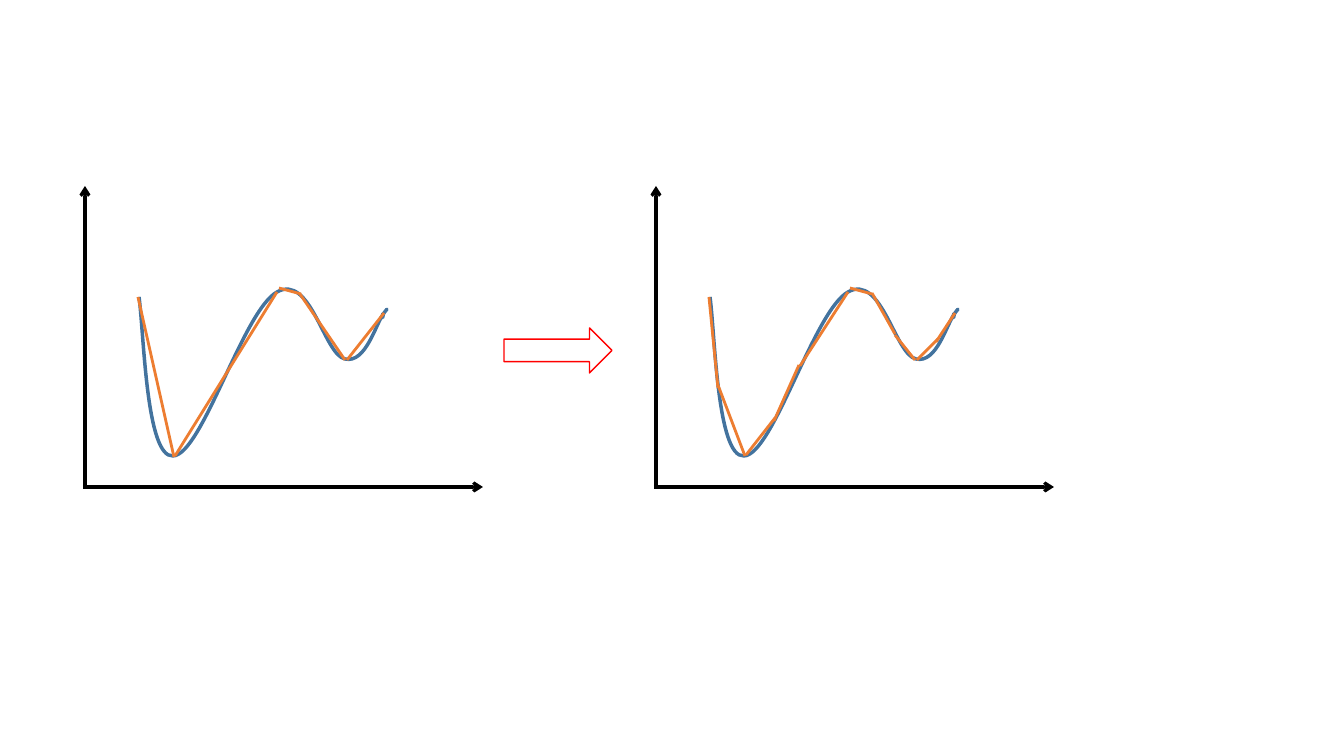
import pptx
import pptx.util
import pptx.dml.color
import pptx.enum.shapes
import pptx.oxml.ns
import lxml.etree

PIXEL = 914400 / 100.8
BLACK = pptx.dml.color.RGBColor(0x00, 0x00, 0x00)
BLUE = pptx.dml.color.RGBColor(0x43, 0x73, 0x9E)
ORANGE = pptx.dml.color.RGBColor(0xED, 0x7D, 0x31)
RED = pptx.dml.color.RGBColor(0xFF, 0x00, 0x00)
PANEL_SHIFT = 571

# Coordinates below are pixels within the left panel.
AXES = [((83, 487), (483, 487)), ((85, 488), (85, 186))]
CURVE_START = (139, 297)
CURVE_TOP_LEFT = (139, 289)
CURVE_BOTTOM_RIGHT = (387, 457)
CURVE_PIECES = [
    ((144, 333), (146, 458), (173, 456)),
    ((202, 455), (243, 311), (277, 292)),
    ((311, 273), (324, 355), (345, 359)),
    ((366, 364), (376, 323), (384, 313)),
    ((391, 304), (384, 313), (384, 313)),
    ((383, 313), (382, 324), (383, 313)),
]
COARSE_SEGMENTS = [
    ((138, 297), (174, 457)),
    ((175, 456), (277, 292)),
    ((279, 288), (301, 294)),
    ((300, 294), (345, 360)),
    ((347, 360), (384, 313)),
]
FINE_SEGMENTS = [
    ((138, 297), (147, 388)),
    ((175, 455), (204, 418)),
    ((279, 288), (301, 294)),
    ((301, 293), (324, 334)),
    ((346, 360), (367, 339)),
    ((147, 385), (174, 456)),
    ((203, 421), (228, 365)),
    ((229, 366), (277, 292)),
    ((324, 335), (344, 360)),
    ((365, 342), (384, 313)),
]


def to_emu(pixels):
    """Turn a length in pixels into EMU."""
    return pptx.util.Emu(round(pixels * PIXEL))


def add_line(shift, start, end, color, width, arrowhead=False):
    """Draw a straight line, moved right by shift pixels."""
    line = slide.shapes.add_connector(
        pptx.enum.shapes.MSO_CONNECTOR.STRAIGHT,
        to_emu(start[0] + shift), to_emu(start[1]),
        to_emu(end[0] + shift), to_emu(end[1]),
    )
    line.line.color.rgb = color
    line.line.width = pptx.util.Pt(width)
    properties = line._element.spPr
    if arrowhead:
        outline = properties.find(pptx.oxml.ns.qn("a:ln"))
        lxml.etree.SubElement(outline, pptx.oxml.ns.qn("a:tailEnd"), type="arrow")
    lxml.etree.SubElement(properties, pptx.oxml.ns.qn("a:effectLst"))


presentation = pptx.Presentation()
presentation.slide_width = to_emu(1344)
presentation.slide_height = to_emu(756)
slide = presentation.slides.add_slide(presentation.slide_layouts[6])

outlined_shapes = []
for shift, segments in [(0, COARSE_SEGMENTS), (PANEL_SHIFT, FINE_SEGMENTS)]:
    for start, end in AXES:
        add_line(shift, start, end, BLACK, 2.25, arrowhead=True)

    # The corners set the frame; cubic pieces then take the place of the lines.
    frame = [(x + shift, y) for x, y in (CURVE_START, CURVE_TOP_LEFT, CURVE_BOTTOM_RIGHT)]
    builder = slide.shapes.build_freeform(*frame[0], scale=PIXEL)
    builder.add_line_segments(frame[1:], close=False)
    curve = builder.convert_to_shape()
    outline_path = next(curve._element.iter(pptx.oxml.ns.qn("a:path")))
    for straight in outline_path.findall(pptx.oxml.ns.qn("a:lnTo")):
        outline_path.remove(straight)
    for piece in CURVE_PIECES:
        bezier = lxml.etree.SubElement(outline_path, pptx.oxml.ns.qn("a:cubicBezTo"))
        for x, y in piece:
            lxml.etree.SubElement(
                bezier, pptx.oxml.ns.qn("a:pt"),
                x=str(x - CURVE_TOP_LEFT[0]), y=str(y - CURVE_TOP_LEFT[1]),
            )
    outlined_shapes.append((curve, BLUE, 2.5))

    for start, end in segments:
        add_line(shift, start, end, ORANGE, 2)

refinement_arrow = slide.shapes.add_shape(
    pptx.enum.shapes.MSO_SHAPE.RIGHT_ARROW,
    *[to_emu(length) for length in (504, 328, 108, 45)]
)
outlined_shapes.append((refinement_arrow, RED, 1))

for shape, color, width in outlined_shapes:
    shape.shadow.inherit = False
    shape.fill.background()
    shape.line.color.rgb = color
    shape.line.width = pptx.util.Pt(width)

presentation.save("out.pptx")
